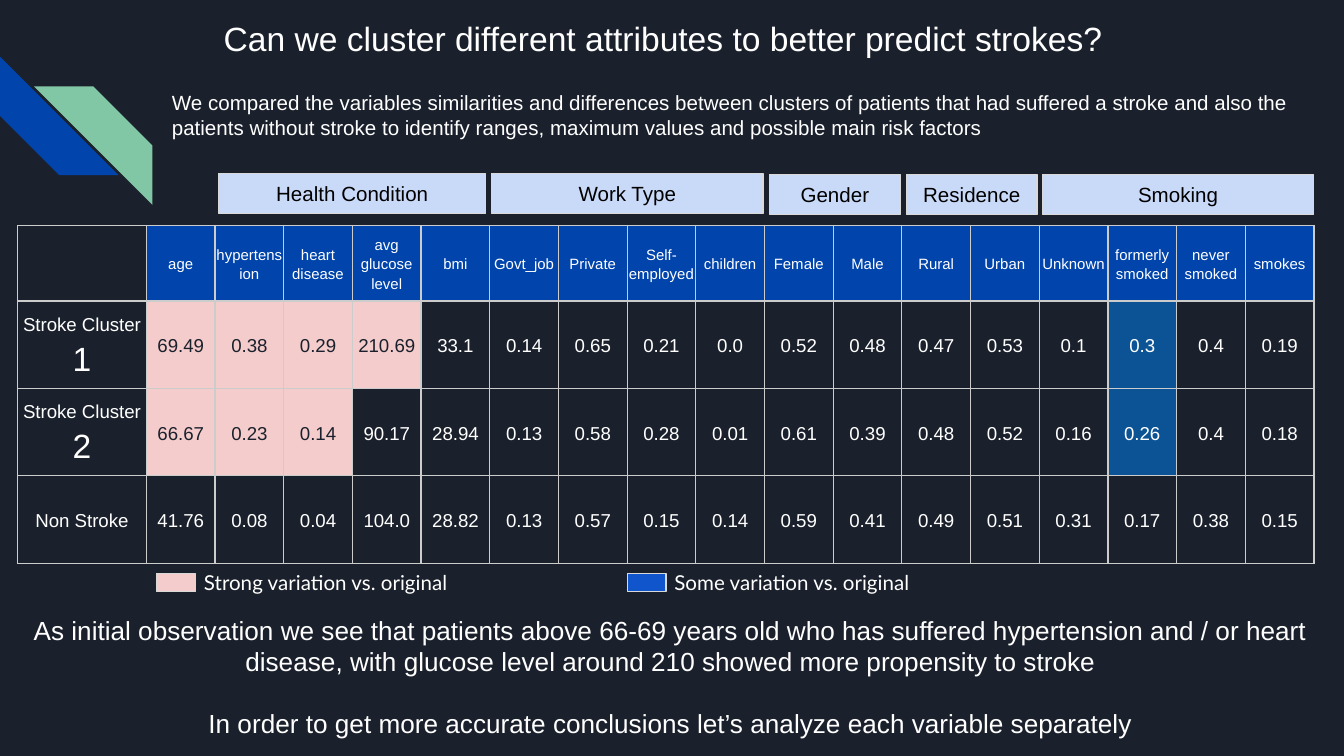
"""Build the slide comparing stroke patient clusters with non-stroke patients."""
from lxml import etree
from pptx import Presentation
from pptx.dml.color import RGBColor
from pptx.enum.shapes import MSO_SHAPE
from pptx.enum.text import MSO_ANCHOR, PP_ALIGN
from pptx.oxml.ns import qn
from pptx.util import Pt

RECTANGLE, STRIPE = MSO_SHAPE.RECTANGLE, MSO_SHAPE.DIAGONAL_STRIPE
MIDDLE = MSO_ANCHOR.MIDDLE
LEFT, CENTER = PP_ALIGN.LEFT, PP_ALIGN.CENTER
COLORS = {
    "night": "1B212C", "blue": "0145AC", "green": "82C7A5", "white": "FFFFFF",
    "black": "000000", "pink": "F4CCCC", "some": "0B5394", "key": "1155CC",
    "banner": "C9DAF8", "edge": "D9D9D9", "grid": "CCCCCC",
}
RGB = {name: RGBColor.from_string(value) for name, value in COLORS.items()}


def write(frame, text, size, color="white", align=CENTER, font="Arial"):
    frame.word_wrap = True
    frame.text = text
    for paragraph in frame.paragraphs:
        paragraph.alignment = align
        paragraph.font.size = Pt(size)
        paragraph.font.name = font
        paragraph.font.color.rgb = RGB[color]
    for side in ("left", "right", "top", "bottom"):
        setattr(frame, f"margin_{side}", Pt(7.2))


def add_block(kind, left, top, width, height, fill, edge=None):
    block = slide.shapes.add_shape(kind, Pt(left), Pt(top), Pt(width), Pt(height))
    block.shadow.inherit = False
    block.fill.solid()
    block.fill.fore_color.rgb = RGB[fill]
    if edge:
        block.line.color.rgb = RGB[edge]
        block.line.width = Pt(0.75)
    else:
        block.line.fill.background()
    return block


deck = Presentation()
deck.slide_width, deck.slide_height = Pt(720), Pt(405)
slide = deck.slides.add_slide(deck.slide_layouts[6])
slide.background.fill.solid()
slide.background.fill.fore_color.rgb = RGB["night"]

blue_stripe = add_block(STRIPE, 0, 30.3, 63.5, 63.5, "blue")
blue_stripe.rotation = 270
green_stripe = add_block(STRIPE, 18.2, 46.3, 63.5, 63.5, "green")
green_stripe._element.spPr.find(qn("a:xfrm")).set("flipH", "1")

headers = ["", "age", "hypertension", "heart\ndisease", "avg\nglucose\nlevel", "bmi",
           "Govt_job", "Private", "Self-employed", "children", "Female", "Male",
           "Rural", "Urban", "Unknown", "formerly smoked", "never smoked", "smokes"]
clusters = {
    "Stroke Cluster 1": "69.49 0.38 0.29 210.69 33.1 0.14 0.65 0.21 0.0 "
                        "0.52 0.48 0.47 0.53 0.1 0.3 0.4 0.19",
    "Stroke Cluster 2": "66.67 0.23 0.14 90.17 28.94 0.13 0.58 0.28 0.01 "
                        "0.61 0.39 0.48 0.52 0.16 0.26 0.4 0.18",
    "Non Stroke": "41.76 0.08 0.04 104.0 28.82 0.13 0.57 0.15 0.14 "
                  "0.59 0.41 0.49 0.51 0.31 0.17 0.38 0.15",
}
rows = [headers] + [[name] + values.split() for name, values in clusters.items()]
strong_columns = {1: range(1, 5), 2: range(1, 4), 3: ()}
some_column = 15

table = slide.shapes.add_table(4, 18, Pt(9.4), Pt(120.8), Pt(694.6), Pt(180.9)).table
table.first_row = table.horz_banding = False
for c, column in enumerate(table.columns):
    column.width = Pt(36.8 if c else 69)
for r, row in enumerate(table.rows):
    row.height = Pt(46.8 if r else 40.5)

for r, row in enumerate(rows):
    for c, value in enumerate(row):
        cell = table.cell(r, c)
        if r == 0:
            fill = "blue" if c else None
        elif c in strong_columns[r]:
            fill = "pink"
        else:
            fill = "some" if c == some_column and r < 3 else None
        if fill:
            cell.fill.solid()
            cell.fill.fore_color.rgb = RGB[fill]
        else:
            cell.fill.background()
        write(cell.text_frame, value, 10 if r else 8, "night" if fill == "pink" else "white")
        cell.vertical_anchor = MIDDLE
        cell.margin_left = cell.margin_right = cell.margin_top = cell.margin_bottom = 0
        for paragraph in cell.text_frame.paragraphs:
            paragraph.line_spacing = 1.15
        if value.startswith("Stroke"):
            name_run = cell.text_frame.paragraphs[0].runs[0]
            name_run.text = value[:-1]
            number_run = cell.text_frame.paragraphs[0].add_run()
            number_run.text = value[-1]
            number_run.font.size = Pt(18)
        properties = cell._tc.get_or_add_tcPr()
        for position, side in enumerate(("lnL", "lnR", "lnT", "lnB")):
            border = etree.Element(qn(f"a:{side}"), w=str(Pt(0.75)))
            solid = etree.SubElement(border, qn("a:solidFill"))
            etree.SubElement(solid, qn("a:srgbClr"), val=COLORS["grid"])
            properties.insert(position, border)

for group, left, top, width in (
    ("Health Condition", 117.2, 93, 143),
    ("Work Type", 263.3, 93, 145.6),
    ("Gender", 412.3, 93.6, 70),
    ("Residence", 485.6, 93.6, 70),
    ("Smoking", 558.5, 93.6, 145.3),
):
    banner = add_block(RECTANGLE, left, top, width, 21.3, "banner", "edge")
    write(banner.text_frame, group, 11, "black")
    banner.text_frame.vertical_anchor = MIDDLE

for left, fill in ((84, "pink"), (336.2, "key")):
    add_block(RECTANGLE, left, 307.3, 20.6, 9.7, fill, "edge")

for text, left, top, width, height, size, align, font in (
    ("Can we cluster different attributes to better predict strokes?",
     19.4, 2.2, 671.8, 36, 18, CENTER, "Arial"),
    ("We compared the variables similarities and differences between clusters of patients "
     "that had suffered a stroke and also the patients without stroke to identify ranges, "
     "maximum values and possible main risk factors",
     85, 41, 636.5, 41, 11, LEFT, "Arial"),
    ("Strong variation vs. original", 102.2, 298.8, 230.4, 28, 11, LEFT, "Lato"),
    ("Some variation vs. original", 354.2, 298.8, 230.4, 28, 11, LEFT, "Lato"),
    ("As initial observation we see that patients above 66-69 years old who has suffered "
     "hypertension and / or heart disease, with glucose level around 210 showed more "
     "propensity to stroke\nIn order to get more accurate conclusions let’s analyze each "
     "variable separately",
     9.4, 321.8, 699.8, 82, 14, CENTER, "Arial"),
):
    passage = slide.shapes.add_textbox(Pt(left), Pt(top), Pt(width), Pt(height))
    write(passage.text_frame, text, size, align=align, font=font)
    for later_paragraph in passage.text_frame.paragraphs[1:]:
        later_paragraph.space_before = Pt(16.5)

deck.save("out.pptx")
